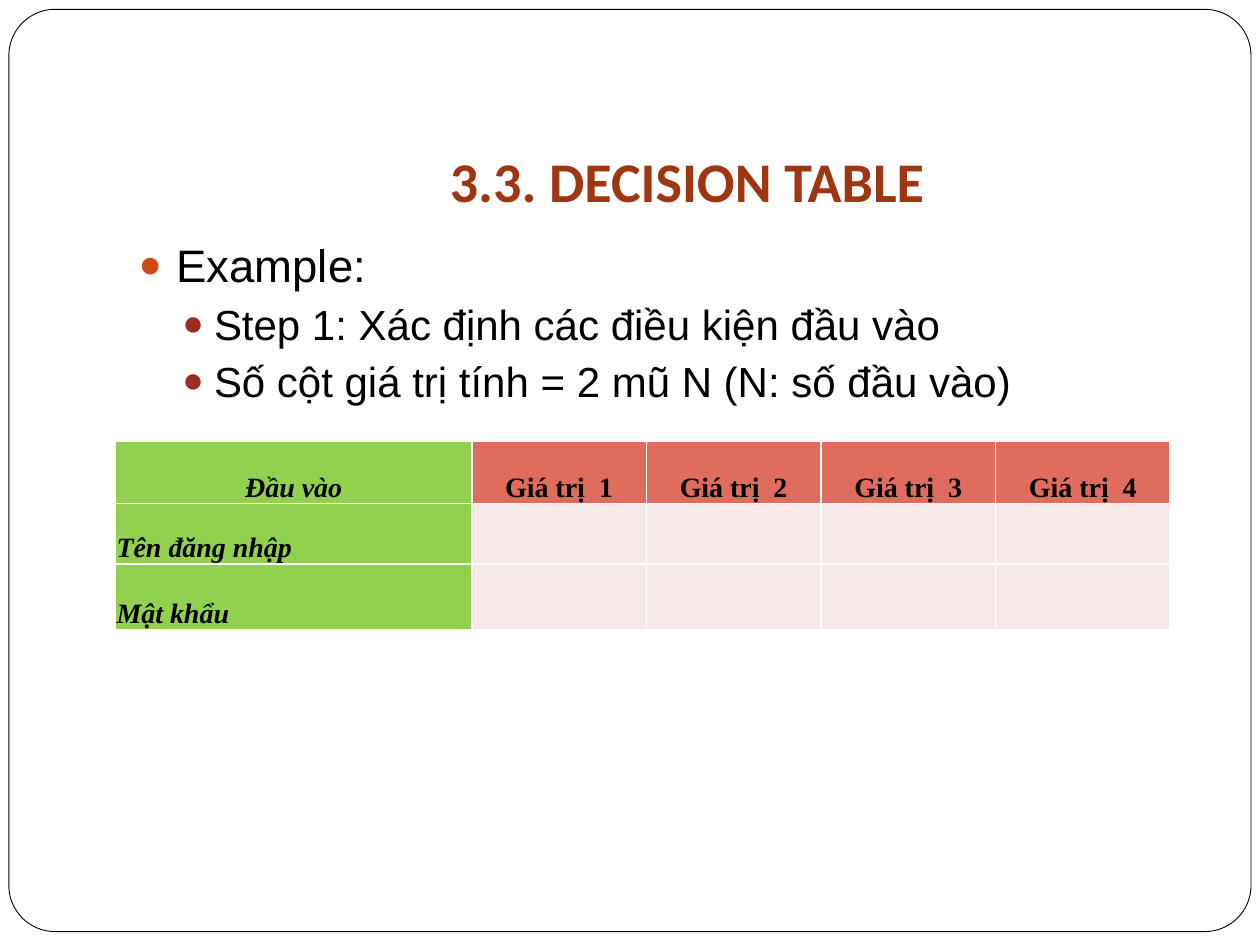
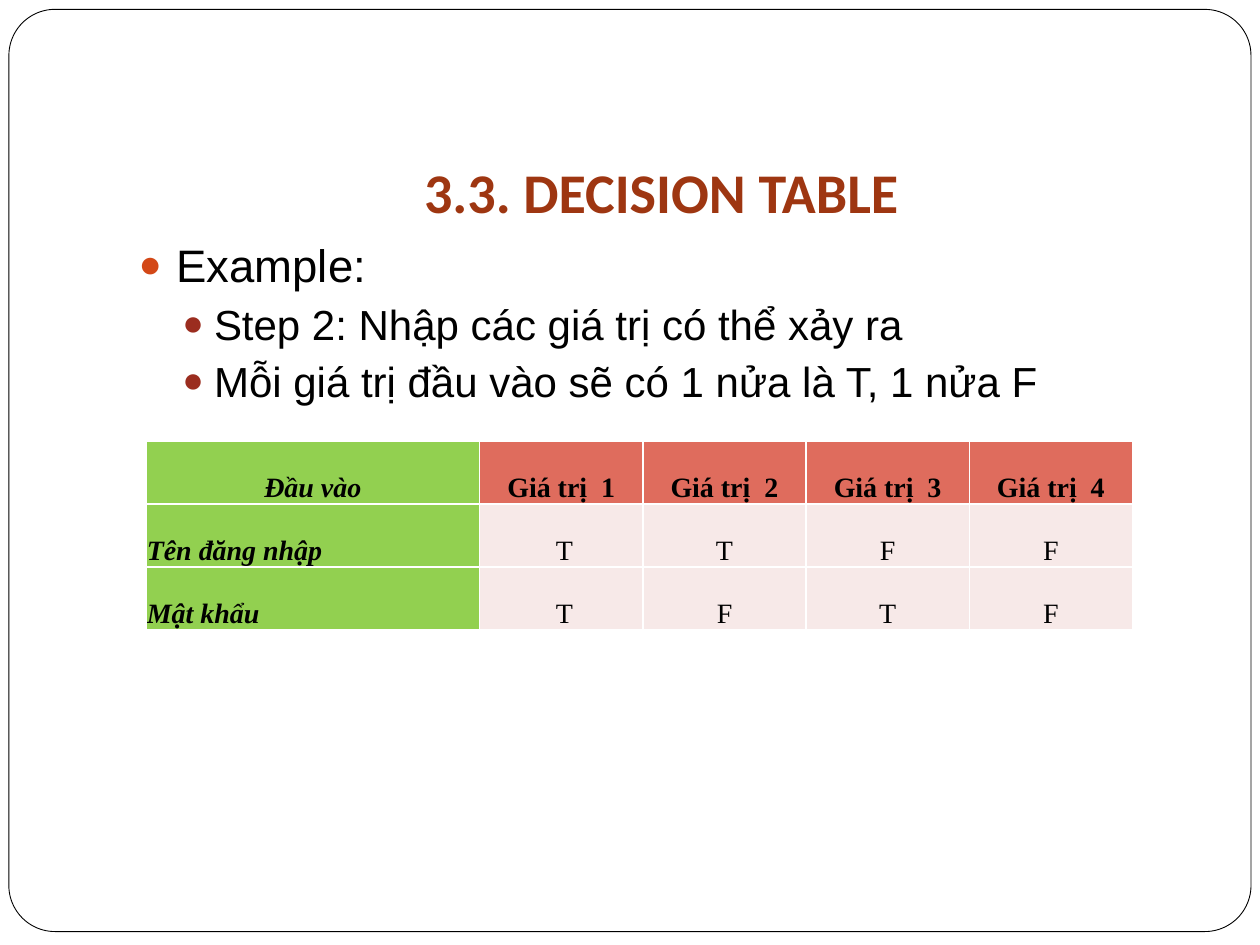
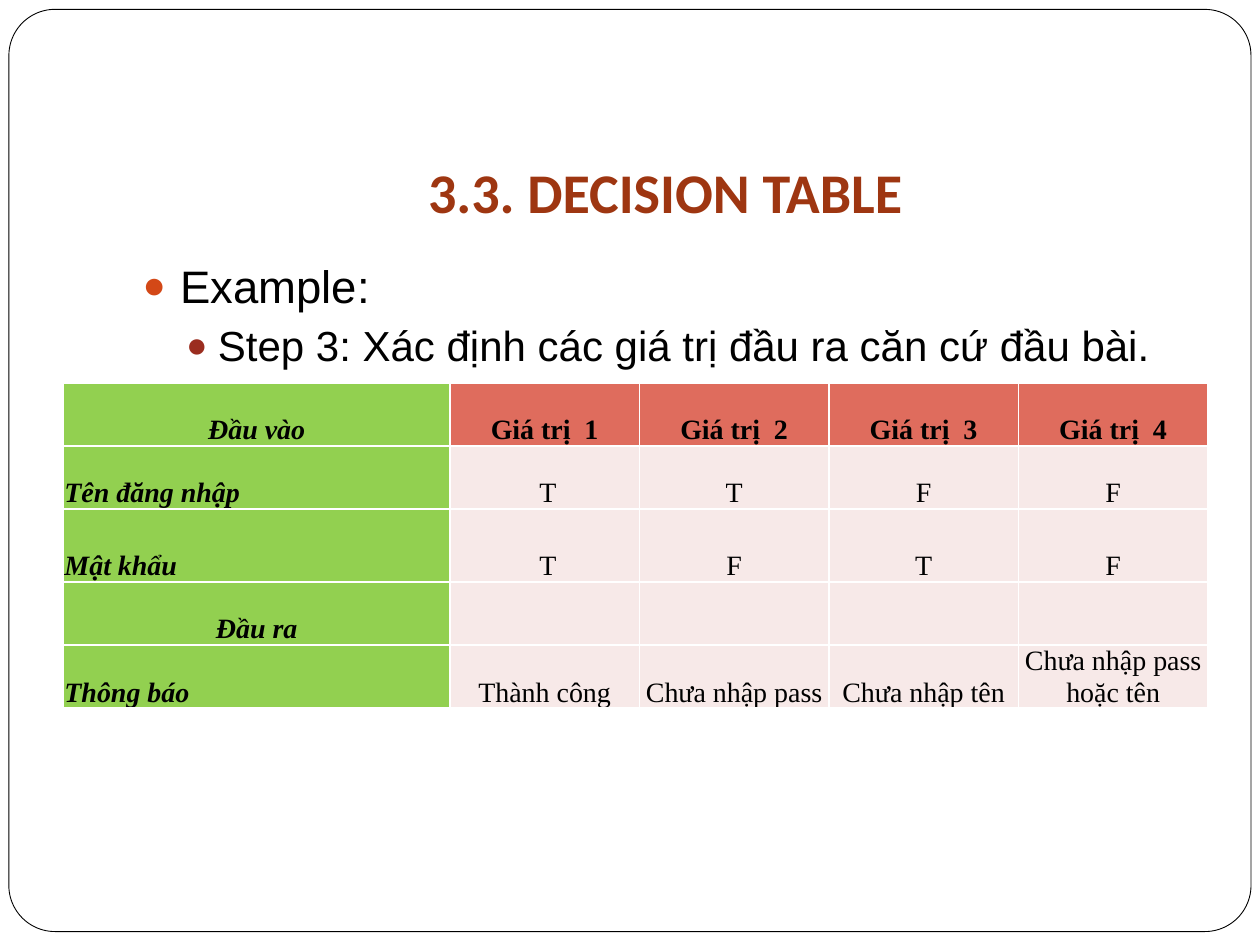
"""Build three slides that work through a decision table for a login form."""
import lxml.etree
import pptx
import pptx.dml.color
import pptx.enum.shapes
import pptx.enum.text
import pptx.oxml.ns
import pptx.util

Cm, Pt = pptx.util.Cm, pptx.util.Pt
RGBColor = pptx.dml.color.RGBColor
ALIGN = pptx.enum.text.PP_ALIGN
ANCHOR = pptx.enum.text.MSO_ANCHOR
qn = pptx.oxml.ns.qn

BLACK = RGBColor(0x00, 0x00, 0x00)
WHITE = RGBColor(0xFF, 0xFF, 0xFF)
RUST = RGBColor(0x9E, 0x36, 0x11)
ORANGE = RGBColor(0xD3, 0x48, 0x17)
BRICK = RGBColor(0x9B, 0x2D, 0x1F)
GREEN = RGBColor(0x92, 0xD0, 0x50)
CORAL = RGBColor(0xDF, 0x6C, 0x5D)
BLUSH = RGBColor(0xF7, 0xE9, 0xE8)

TITLE = "3.3. DECISION TABLE"
HEADER = ["Đầu vào", "Giá trị  1", "Giá trị  2", "Giá trị  3", "Giá trị  4"]
BLANKS = [""] * 4
INPUTS = [
    ["Tên đăng nhập", " T", "T", "F", "F"],
    ["Mật khẩu", " T", "F", "T", "F"],
]
OUTPUTS = [
    ["Đầu ra"] + BLANKS,
    ["Thông báo", "Thành công", "Chưa nhập pass", "Chưa nhập tên", "Chưa nhập pass hoặc tên"],
]
SECTION_LABELS = {"Đầu vào", "Đầu ra"}

SLIDES = [
    {
        "title_box": (2.74, 2.52, 22.23, 2.03),
        "body_box": (2.54, 4.65, 21.59, 12.7),
        "steps": ["Step 1: Xác định các điều kiện đầu vào",
                  "Số cột giá trị tính = 2 mũ N (N: số đầu vào)"],
        "table_at": (2.33, 8.89),
        "label_width": 7.18,
        "value_width": 3.52,
        "heights": [1.26, 1.22, 1.33],
        "rows": [HEADER] + [row[:1] + BLANKS for row in INPUTS],
    },
    {
        "title_box": (2.54, 2.11, 21.59, 2.67),
        "body_box": (2.54, 4.65, 21.59, 12.07),
        "steps": ["Step 2: Nhập các giá trị có thể xảy ra",
                  "Mỗi giá trị đầu vào sẽ có 1 nửa là T, 1 nửa F"],
        "table_at": (2.94, 8.89),
        "label_width": 6.73,
        "value_width": 3.29,
        "heights": [1.27] * 3,
        "rows": [HEADER] + INPUTS,
    },
    {
        "title_box": (2.62, 1.6, 21.59, 3.18),
        "body_box": (2.62, 5.08, 21.59, 12.27),
        "steps": ["Step 3: Xác định các giá trị đầu ra căn cứ đầu bài."],
        "table_at": (1.28, 7.72),
        "label_width": 7.79,
        "value_width": 3.82,
        "heights": [1.27, 1.27, 1.47, 1.27, 1.27],
        "rows": [HEADER] + INPUTS + OUTPUTS,
    },
]


def write(p, text, font="Arial", size=24, color=BLACK, bold=False, italic=False, align=None):
    p.alignment = align
    r = p.add_run()
    r.text = text
    r.font.name, r.font.size = font, Pt(size)
    r.font.bold, r.font.italic = bold, italic
    r.font.color.rgb = color


def add_child(parent, tag, **attributes):
    return lxml.etree.SubElement(parent, qn(tag), attributes)


def place(shape, box):
    shape.left, shape.top, shape.width, shape.height = map(Cm, box)


def add_frame(s):
    frame = s.shapes.add_shape(pptx.enum.shapes.MSO_SHAPE.ROUNDED_RECTANGLE,
                               Cm(0.18), Cm(0.19), Cm(25.04), Cm(18.59))
    frame.adjustments[0] = 0.05
    frame.shadow.inherit = False
    frame.fill.solid()
    frame.fill.fore_color.rgb = WHITE
    frame.line.color.rgb = BLACK
    frame.line.width = Pt(0.5)
    s.shapes.element.insert(2, frame.element)


def add_title(s, box):
    sp = s.shapes.title
    place(sp, box)
    tf = sp.text_frame
    tf.vertical_anchor = ANCHOR.BOTTOM
    tf.margin_bottom = Cm(0.25)
    write(tf.paragraphs[0], TITLE, font="Calibri", size=32, color=RUST, bold=True, align=ALIGN.CENTER)


def add_bullet(p, text, level):
    size, before, color, margin, hang = [
        (26, 5.8, ORANGE, 0.76, 0.76), (24, 3.8, BRICK, 1.52, 0.64)][level]
    p.level = level
    p.space_before = Pt(before)
    write(p, text, size=size, align=ALIGN.LEFT)
    pPr = p._p.get_or_add_pPr()
    pPr.set("marL", str(Cm(margin)))
    pPr.set("indent", str(-Cm(hang)))
    add_child(add_child(pPr, "a:buClr"), "a:srgbClr", val=str(color))
    add_child(pPr, "a:buSzPct", val="85000")
    add_child(pPr, "a:buFont", typeface="Arial")
    add_child(pPr, "a:buChar", char="●")


def add_body(s, box, steps):
    sp = s.placeholders[1]
    place(sp, box)
    tf = sp.text_frame
    tf.auto_size = pptx.enum.text.MSO_AUTO_SIZE.NONE
    for i, text in enumerate(["Example:"] + steps):
        p = tf.add_paragraph() if i else tf.paragraphs[0]
        add_bullet(p, text, min(i, 1))


def format_cell(cell, text, row, col):
    cell.vertical_anchor = ANCHOR.BOTTOM
    cell.margin_left = cell.margin_right = cell.margin_top = Cm(0.02)
    cell.margin_bottom = 0
    tcPr = cell._tc.get_or_add_tcPr()
    for side in ("a:lnL", "a:lnR", "a:lnT", "a:lnB"):
        ln = add_child(tcPr, side, w=str(Pt(1)))
        add_child(add_child(ln, "a:solidFill"), "a:srgbClr", val=str(WHITE))
    cell.fill.solid()
    cell.fill.fore_color.rgb = GREEN if col == 0 else CORAL if row == 0 else BLUSH
    if text:
        centred = col > 0 or text in SECTION_LABELS
        write(cell.text_frame.paragraphs[0], text, font="Times New Roman", size=16,
              bold=row == 0 or col == 0, italic=col == 0,
              align=ALIGN.CENTER if centred else ALIGN.LEFT)


def add_decision_table(s, at, label_width, value_width, heights, rows):
    left, top = at
    widths = [label_width] + [value_width] * (len(HEADER) - 1)
    table = s.shapes.add_table(len(rows), len(widths), Cm(left), Cm(top),
                               Cm(sum(widths)), Cm(sum(heights))).table
    table.first_row = table.horz_banding = False
    for column, width in zip(table.columns, widths):
        column.width = Cm(width)
    for row, texts in enumerate(rows):
        table.rows[row].height = Cm(heights[row])
        for col, text in enumerate(texts):
            format_cell(table.cell(row, col), text, row, col)


def main():
    prs = pptx.Presentation()
    prs.slide_width, prs.slide_height = Cm(25.4), Cm(19.05)
    for content in SLIDES:
        s = prs.slides.add_slide(prs.slide_layouts[1])
        add_frame(s)
        add_title(s, content["title_box"])
        add_body(s, content["body_box"], content["steps"])
        add_decision_table(s, content["table_at"], content["label_width"],
                           content["value_width"], content["heights"], content["rows"])
    prs.save("out.pptx")


if __name__ == "__main__":
    main()
